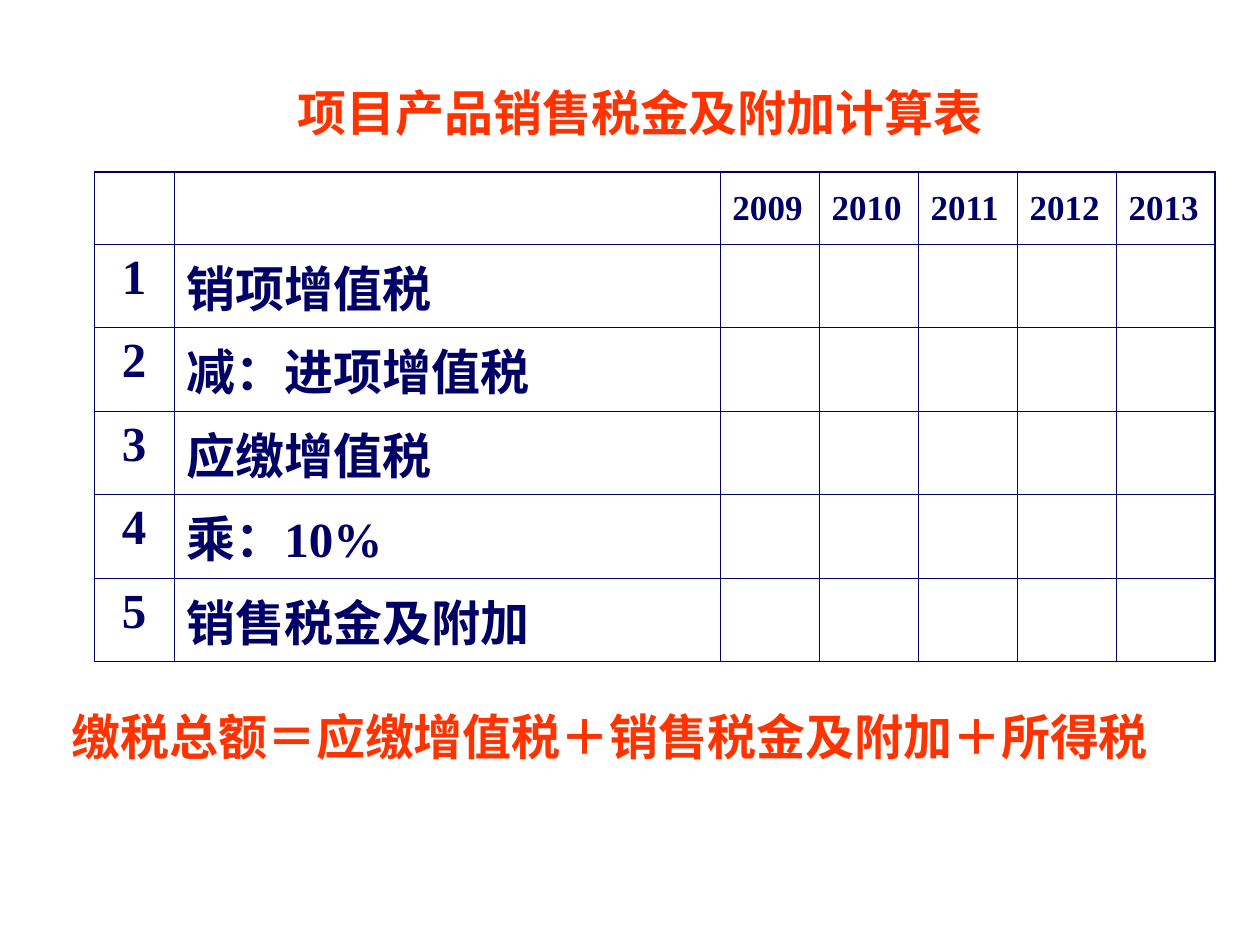
from typing import NamedTuple

from lxml.etree import SubElement
from pptx import Presentation
from pptx.dml.color import RGBColor
from pptx.enum.text import MSO_ANCHOR, PP_ALIGN
from pptx.oxml.ns import qn
from pptx.util import Pt

NAVY = "000066"
ORANGE_RED = "FF3300"
LATIN_FONT = "Times New Roman"
CHINESE_FONT = "Noto Sans CJK SC"
INNER_LINE, OUTER_LINE = 0.45, 1.08

YEARS = ["2009", "2010", "2011", "2012", "2013"]
ITEMS = ["销项增值税", "减：进项增值税", "应缴增值税", "乘：10%", "销售税金及附加"]
COLUMN_WIDTHS = [45.4, 312] + [56.6] * len(YEARS)
ROW_HEIGHT = 41.2


class Caption(NamedTuple):
    text: str
    left: float
    top: float
    width: float
    align: PP_ALIGN


CAPTIONS = [
    Caption("项目产品销售税金及附加计算表", 133.2, 43.2, 465.1, PP_ALIGN.CENTER),
    Caption("缴税总额＝应缴增值税＋销售税金及附加＋所得税", 33.8, 400.3, 671.8, PP_ALIGN.LEFT),
]


def color(hex_code: str) -> RGBColor:
    return RGBColor.from_string(hex_code)


def write(frame, text: str, size: float, hex_code: str, align: PP_ALIGN,
          latin: str = LATIN_FONT) -> None:
    frame.text = text
    paragraph = frame.paragraphs[0]
    paragraph.alignment = align
    for run in paragraph.runs:
        run.font.size = Pt(size)
        run.font.bold = True
        run.font.name = latin
        run.font.color.rgb = color(hex_code)
        SubElement(run.font._element, qn("a:ea"), typeface=CHINESE_FONT)


def set_borders(cell, widths: dict[str, float]) -> None:
    properties = cell._tc.get_or_add_tcPr()
    for side, width in widths.items():
        line = SubElement(properties, qn(f"a:ln{side}"), w=str(int(Pt(width))))
        fill = SubElement(line, qn("a:solidFill"))
        SubElement(fill, qn("a:srgbClr"), val=NAVY)


def add_caption(slide, caption: Caption) -> None:
    box = slide.shapes.add_textbox(Pt(caption.left), Pt(caption.top),
                                   Pt(caption.width), Pt(41))
    frame = box.text_frame
    frame.word_wrap = True
    frame.vertical_anchor = MSO_ANCHOR.MIDDLE
    write(frame, caption.text, 28, ORANGE_RED, caption.align, CHINESE_FONT)


def add_tax_table(slide) -> None:
    row_count, column_count = len(ITEMS) + 1, len(COLUMN_WIDTHS)
    table = slide.shapes.add_table(
        row_count, column_count, Pt(54), Pt(98.4),
        Pt(sum(COLUMN_WIDTHS)), Pt(ROW_HEIGHT * row_count)).table
    table.first_row = table.horz_banding = False

    for column, width in zip(table.columns, COLUMN_WIDTHS):
        column.width = Pt(width)
    for row in table.rows:
        row.height = Pt(ROW_HEIGHT)

    # Thin grid with a heavier outer frame
    for r in range(row_count):
        for c in range(column_count):
            cell = table.cell(r, c)
            outer = {"L": c == 0, "R": c == column_count - 1,
                     "T": r == 0, "B": r == row_count - 1}
            set_borders(cell, {side: OUTER_LINE if edge else INNER_LINE
                               for side, edge in outer.items()})
            cell.fill.background()

    # Year headings
    for c, year in enumerate(YEARS, start=2):
        heading = table.cell(0, c)
        heading.vertical_anchor = MSO_ANCHOR.MIDDLE
        write(heading.text_frame, year, 20, NAVY, PP_ALIGN.LEFT)

    # Numbered tax items
    for number, item in enumerate(ITEMS, start=1):
        write(table.cell(number, 0).text_frame, str(number), 28, NAVY, PP_ALIGN.CENTER)
        write(table.cell(number, 1).text_frame, item, 28, NAVY, PP_ALIGN.LEFT)


def main() -> None:
    presentation = Presentation()
    presentation.slide_width, presentation.slide_height = Pt(720), Pt(540)
    slide = presentation.slides.add_slide(presentation.slide_layouts[6])

    add_tax_table(slide)
    # Title above and formula below the table
    for caption in CAPTIONS:
        add_caption(slide, caption)

    presentation.save("out.pptx")


if __name__ == "__main__":
    main()
